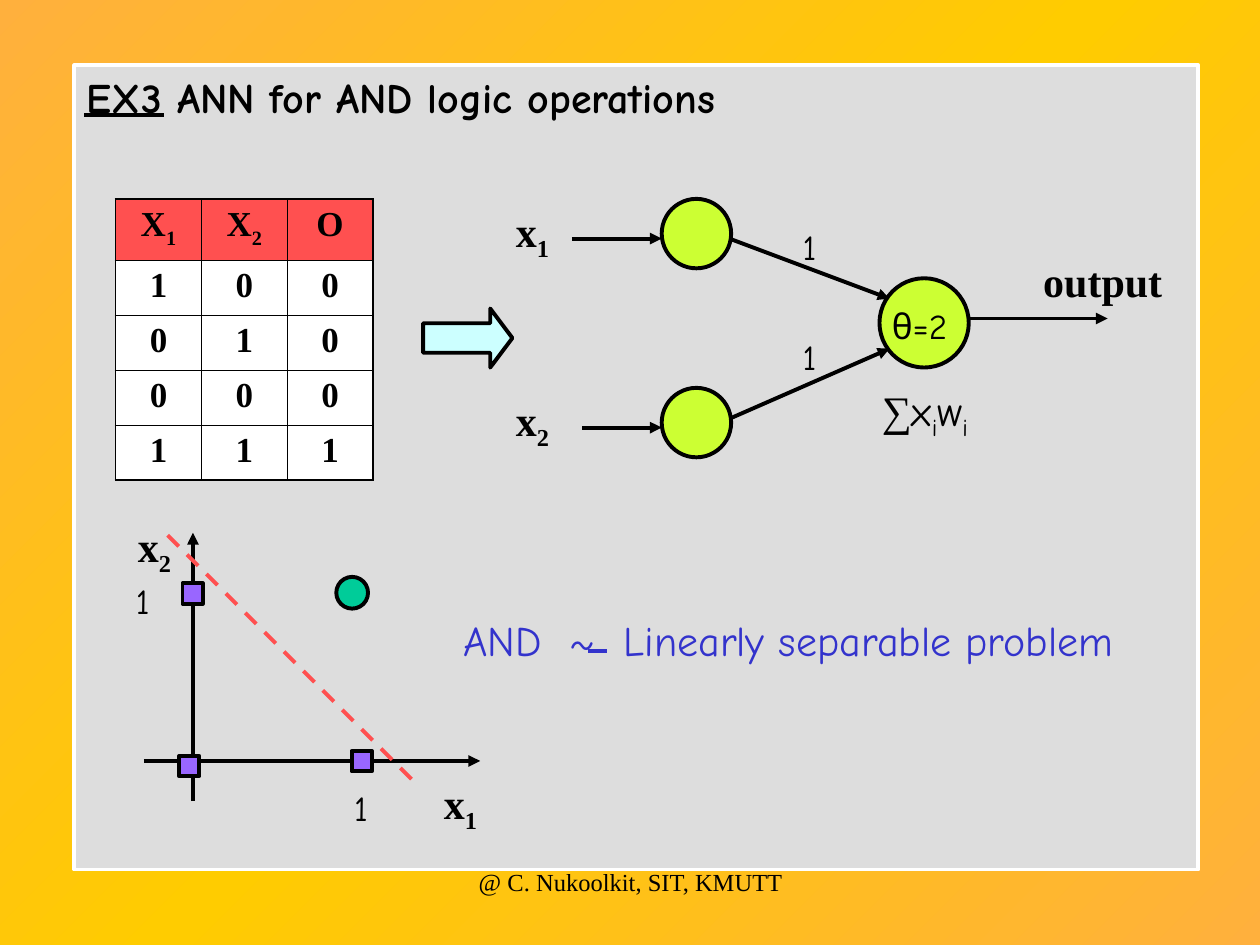
from copy import deepcopy

from lxml.etree import SubElement
from pptx import Presentation
from pptx.dml.color import RGBColor
from pptx.enum.dml import MSO_LINE
from pptx.enum.shapes import MSO_CONNECTOR, MSO_SHAPE
from pptx.enum.text import MSO_AUTO_SIZE, PP_ALIGN
from pptx.oxml import parse_xml
from pptx.oxml.ns import nsdecls, qn
from pptx.util import Cm, Pt

SERIF, COMIC = "Times New Roman", "Comic Neue"
BLACK, WHITE, RED, BLUE = "000000", "FFFFFF", "FF5050", "3333CC"
LIME, VIOLET = "CCFF33", "9966FF"
LABEL_HEIGHT = 1.42


def color(value):
    return RGBColor.from_string(value)


def write_runs(para, parts, font, size, ink=BLACK, bold=False):
    """Write the parts as runs; a leading underscore makes a subscript."""
    for part in parts:
        span = para.add_run()
        span.text = part.lstrip("_")
        span.font.name, span.font.size, span.font.bold = font, Pt(size), bold
        span.font.color.rgb = color(ink)
        if part.startswith("_"):
            span.font._element.set("baseline", "-25000")


def add_label(page, left, top, width, height, parts, font=COMIC, size=24,
              ink=BLACK, bold=False, align=PP_ALIGN.LEFT, grow=True):
    box = page.shapes.add_textbox(Cm(left), Cm(top), Cm(width), Cm(height))
    box.text_frame.word_wrap = True
    box.text_frame.auto_size = (
        MSO_AUTO_SIZE.SHAPE_TO_FIT_TEXT if grow else MSO_AUTO_SIZE.NONE)
    para = box.text_frame.paragraphs[0]
    para.alignment = align
    write_runs(para, parts, font, size, ink, bold)
    return para


def add_variable(page, left, top, parts, width=2.01, height=LABEL_HEIGHT):
    add_label(page, left, top, width, height, parts, SERIF, bold=True,
              align=PP_ALIGN.CENTER)


def add_number(page, left, top, text="1", width=1.19):
    add_label(page, left, top, width, 1.12, [text], size=20)


def add_figure(page, kind, left, top, width, height, fill, ink=BLACK):
    shape = page.shapes.add_shape(kind, Cm(left), Cm(top), Cm(width), Cm(height))
    shape.shadow.inherit = False
    shape.fill.solid()
    shape.fill.fore_color.rgb = color(fill)
    shape.line.color.rgb = color(ink)
    shape.line.width = Pt(2.25)
    return shape


def add_line(page, start, end, ink=BLACK, arrow=False, dashed=False):
    line = page.shapes.add_connector(
        MSO_CONNECTOR.STRAIGHT, *(Cm(value) for value in (*start, *end)))
    line.line.color.rgb = color(ink)
    line.line.width = Pt(2.25)
    if dashed:
        line.line.dash_style = MSO_LINE.DASH
    if arrow:
        SubElement(line.line._get_or_add_ln(), qn("a:tailEnd"), type="triangle")
    SubElement(line._element.spPr, qn("a:effectLst"))


def paint_background(page):
    fill = page.background.fill
    fill.gradient()
    fill.gradient_angle = 135
    stops = fill.gradient_stops[0]._gs.getparent()
    stops.append(deepcopy(stops[-1]))
    for stop, position, shade in zip(
            fill.gradient_stops, (0, 0.5, 1), ("FFB03D", "FFCC00", "FFB03D")):
        stop.position = position
        stop.color.rgb = color(shade)


def add_panel(page, left, top):
    add_figure(page, MSO_SHAPE.RECTANGLE, left, top, 22.66, 16.21, "DDDDDD", WHITE)
    add_label(page, left, top, 22.23, 1.27,
              ["EX3 ANN for AND logic operations"], bold=True)
    # Underline below "EX3"
    add_line(page, (left + 0.2, top + 0.99), (left + 1.8, top + 0.99))


def border_cell(cell, outer_sides):
    properties = cell._tc.get_or_add_tcPr()
    for index, side in enumerate("LRTB"):
        width = Pt(1.08 if side in outer_sides else 0.45)
        properties.insert(index, parse_xml(
            f'<a:ln{side} {nsdecls("a")} w="{width}"><a:solidFill>'
            f'<a:srgbClr val="{BLACK}"/></a:solidFill></a:ln{side}>'))


def add_truth_table(page, left, top):
    rows = [(["X", "_1"], ["X", "_2"], ["O"]), "100", "010", "000", "111"]
    heights = [1.23] + [1.11] * 4
    column_width = 1.73
    table = page.shapes.add_table(
        5, 3, Cm(left), Cm(top), Cm(3 * column_width), Cm(sum(heights))).table
    for column in table.columns:
        column.width = Cm(column_width)
    for r, (row, height) in enumerate(zip(rows, heights)):
        table.rows[r].height = Cm(height)
        for c, parts in enumerate(row):
            cell = table.cell(r, c)
            cell.fill.solid()
            cell.fill.fore_color.rgb = color(WHITE if r else RED)
            para = cell.text_frame.paragraphs[0]
            para.alignment = PP_ALIGN.CENTER
            write_runs(para, parts, SERIF, 20, bold=True)
            border_cell(cell, {0: "L", 2: "R"}.get(c, "") + {0: "T", 4: "B"}.get(r, ""))


def add_network(page, left, top):
    # Inputs: label, arrow, neuron, weighted link to the output neuron
    inputs = [(0, "_1", 1.8, 0.81, 2.01, 0.41), (3.81, "_2", 2.01, 4.42, 3.02, 2.62)]
    for offset, index, arrow_start, link_start, link_end, weight_top in inputs:
        row = top + offset
        add_variable(page, left, row, ["x", index])
        add_line(page, (left + arrow_start, row + 0.8), (left + 3.61, row + 0.8),
                 arrow=True)
        add_figure(page, MSO_SHAPE.OVAL, left + 3.61, row, 1.4, 1.4, LIME)
        add_line(page, (left + 5, top + link_start), (left + 8.2, top + link_end),
                 arrow=True)
        add_number(page, left + 6.2, top + weight_top)
    # Output neuron with threshold and weighted sum
    add_figure(page, MSO_SHAPE.OVAL, left + 8, top + 1.6, 1.8, 1.8, LIME)
    add_number(page, left + 8, top + 2.01, "θ=2", width=2.21)
    weighted_sum = add_label(page, left + 7.8, top + 3.61, 2.59, LABEL_HEIGHT,
                             ["∑", "x", "_i", "w", "_i"])
    weighted_sum.runs[0].font.name = SERIF
    add_line(page, (left + 9.8, top + 2.41), (left + 12.6, top + 2.41), arrow=True)
    add_variable(page, left + 10.8, top + 1.02, ["output"], 3.4, 1.27)


def add_plane(page, left, top):
    # Axes
    add_line(page, (left + 1.78, top + 5.79), (left + 1.78, top + 0.38), arrow=True)
    add_line(page, (left + 0.79, top + 4.98), (left + 7.57, top + 4.98), arrow=True)
    add_variable(page, left + 6.17, top + 5.18, ["x", "_1"])
    add_variable(page, left, top, ["x", "_2"])
    for x, y in [(4.78, 5.38), (0.38, 1.19)]:
        add_number(page, left + x, top + y)
    # Points of both classes and the separating line
    for x, y in [(1.57, 1.4), (1.5, 4.88), (4.98, 4.78)]:
        add_figure(page, MSO_SHAPE.RECTANGLE, left + x, top + y, 0.41, 0.41, VIOLET)
    add_figure(page, MSO_SHAPE.OVAL, left + 4.67, top + 1.27, 0.64, 0.64, "00CC99")
    add_line(page, (left + 1.27, top + 0.43), (left + 6.35, top + 5.51), RED,
             dashed=True)


def add_conclusion(page, left, top):
    add_label(page, left, top, 14.6, 1.27,
              ["AND  ~  Linearly separable problem"], ink=BLUE)
    add_line(page, (left + 2.77, top + 0.86), (left + 3.15, top + 0.86), BLUE)


def main():
    deck = Presentation()
    deck.slide_width, deck.slide_height = Cm(25.4), Cm(19.05)
    page = deck.slides.add_slide(deck.slide_layouts[6])
    paint_background(page)
    add_panel(page, 1.5, 1.32)
    add_truth_table(page, 2.33, 4.01)
    block_arrow = add_figure(page, MSO_SHAPE.RIGHT_ARROW, 8.53, 6.22, 1.8, 1.19, "CCFFFF")
    block_arrow.adjustments[1] = 0.375
    add_network(page, 9.73, 4.01)
    add_plane(page, 2.11, 10.36)
    add_conclusion(page, 9.09, 12.27)
    # Footer
    add_label(page, 8.69, 17.35, 8.05, 1.27, ["@ C. Nukoolkit, SIT, KMUTT"],
              SERIF, 14, align=PP_ALIGN.CENTER, grow=False)
    deck.save("out.pptx")


if __name__ == "__main__":
    main()
